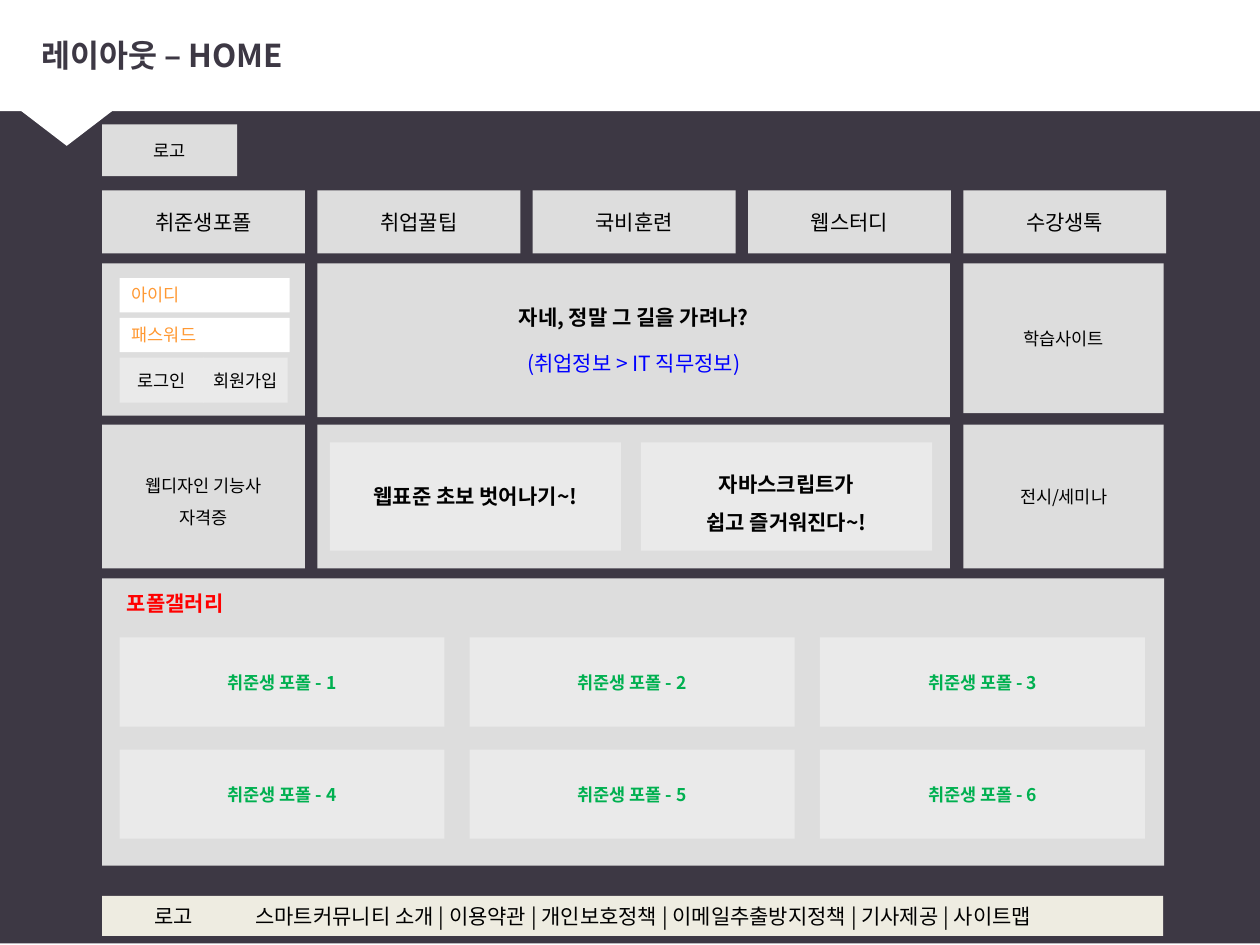
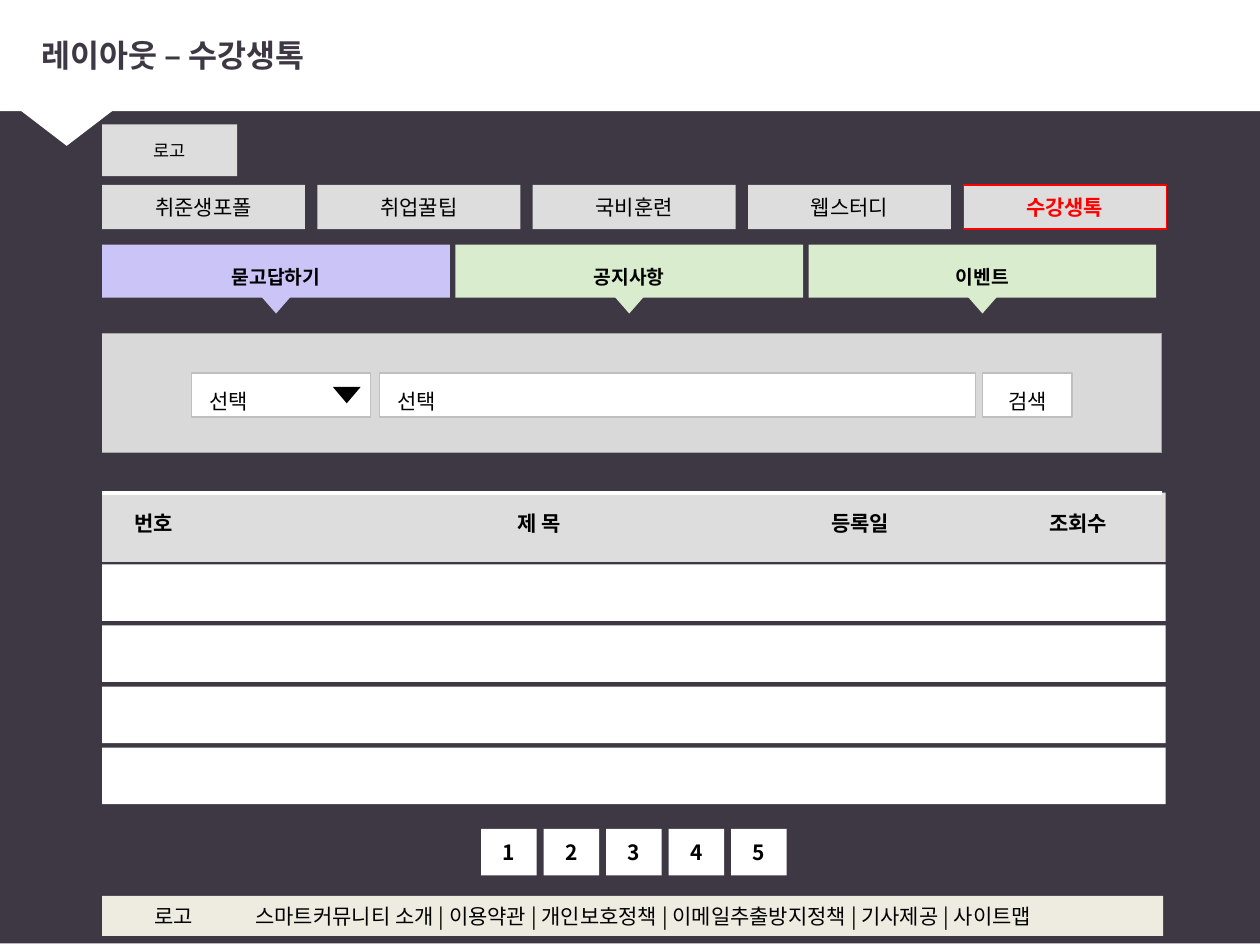
from pptx import Presentation
from pptx.dml.color import RGBColor
from pptx.enum.shapes import MSO_CONNECTOR as Connector, MSO_SHAPE as Preset
from pptx.enum.text import MSO_ANCHOR as Anchor, PP_ALIGN as Align
from pptx.oxml.ns import qn
from pptx.util import Cm, Pt
from lxml.etree import SubElement

FONT = "Noto Sans CJK KR"
COLORS = {
    "dark": "3D3844", "white": "FFFFFF", "black": "000000",
    "panel": "DDDDDD", "card": "EAEAEA", "search": "D9D9D9",
    "footer": "EEECE1", "field": "BFBFBF", "rule": "A6A6A6",
    "red": "FF0000", "blue": "0000FF", "green": "00B050", "orange": "FF9933",
    "violet": "CBC4F6", "mint": "D9ECCE",
}

# Page grid, in centimetres
LEFT = 2.06
COLUMN_STEP, COLUMN_WIDTH = 4.34, 4.09
SIDE_WIDTH = 4.04
MIDDLE, MIDDLE_WIDTH = LEFT + COLUMN_STEP, 12.75
RIGHT = LEFT + 4 * COLUMN_STEP

MENU = ["취준생포폴", "취업꿀팁", "국비훈련", "웹스터디", "수강생톡"]
FOOTER_LINKS = ["스마트커뮤니티 소개", "이용약관", "개인보호정책",
                "이메일추출방지정책", "기사제공", "사이트맵"]


def rgb(name):
    return RGBColor.from_string(COLORS[name])


# ---- Kinds of element ----

def write(shape, lines, size=12, color="black", bold=False, align=Align.CENTER,
          anchor=Anchor.MIDDLE, wrap=False, spacing=None):
    """Write one paragraph per line and return the paragraphs."""
    frame = shape.text_frame
    frame.word_wrap = wrap
    frame.vertical_anchor = anchor
    paras = []
    for index, line in enumerate(lines):
        para = frame.add_paragraph() if index else frame.paragraphs[0]
        para.alignment = align
        if spacing:
            para.line_spacing = spacing
        span = para.add_run()
        span.text = line
        font = span.font
        font.name, font.size, font.bold = FONT, Pt(size), bold
        font.color.rgb = rgb(color)
        SubElement(font._element, qn("a:ea"), typeface=FONT)
        paras.append(para)
    return paras


def add_box(page, left, top, width, height, fill="panel", line=None,
            preset=Preset.RECTANGLE):
    box = page.shapes.add_shape(preset, Cm(left), Cm(top), Cm(width), Cm(height))
    box.shadow.inherit = False
    box.fill.solid()
    box.fill.fore_color.rgb = rgb(fill)
    if line:
        box.line.color.rgb = rgb(line)
        box.line.width = Pt(0.75)
    else:
        box.line.fill.background()
    return box


def add_pointer(page, left, top, width, height, fill):
    pointer = add_box(page, left, top, width, height, fill,
                      preset=Preset.ISOSCELES_TRIANGLE)
    pointer.rotation = 180


def add_label(page, left, top, width, height, text, **style):
    label = page.shapes.add_textbox(Cm(left), Cm(top), Cm(width), Cm(height))
    write(label, [text], **style)


def add_rule(page, top, color, weight):
    rule = page.shapes.add_connector(Connector.STRAIGHT, Cm(LEFT), Cm(top),
                                     Cm(LEFT + 21.36), Cm(top))
    rule.line.color.rgb = rgb(color)
    rule.line.width = Pt(weight)
    SubElement(rule._element.spPr, qn("a:effectLst"))


def add_menu(page, top, height, active=None):
    for index, name in enumerate(MENU):
        chosen = name == active
        box = add_box(page, LEFT + index * COLUMN_STEP, top, COLUMN_WIDTH, height,
                      line="red" if chosen else None)
        write(box, [name], color="red" if chosen else "black", bold=chosen)


def add_page(deck, title):
    """Start a page with the band, title, logo place and footer all pages share."""
    page = deck.slides.add_slide(deck.slide_layouts[6])
    add_box(page, 0, -0.03, 25.76, 19.05, "dark")
    add_box(page, -0.08, -0.05, 25.83, 2.29, "white")
    add_pointer(page, -0.51, 1.52, 3.71, 1.42, "white")
    add_label(page, 0.58, 0.33, 24.54, 1.57, title, size=18, color="dark",
              bold=True, align=Align.LEFT, wrap=True)
    write(add_box(page, LEFT, 2.51, 2.72, 1.04), ["로고"], size=10)
    add_box(page, LEFT, 18.06, 21.39, 0.81, "footer")
    add_label(page, 2.51, 18.01, 1.98, 0.91, "로고")
    add_label(page, 4.9, 18.08, 18.08, 0.76, " | ".join(FOOTER_LINKS),
              align=Align.LEFT, anchor=Anchor.TOP)
    return page


# ---- Home page ----

def add_login(page):
    add_box(page, LEFT, 5.31, COLUMN_WIDTH, 3.07)
    for index, name in enumerate(["아이디", "패스워드"]):
        field = add_box(page, 2.41, 5.61 + index * 0.8, 3.43, 0.69, "white")
        write(field, [name], size=10, color="orange", align=Align.LEFT,
              anchor=Anchor.TOP, wrap=True)
    for index, name in enumerate(["로그인", "회원가입"]):
        button = add_box(page, 2.41 + index * 1.69, 7.21, 1.7, 0.91, "card")
        write(button, [name], size=10)


def add_gallery(page):
    add_box(page, LEFT, 11.66, 21.41, 5.79)
    heading = add_box(page, 2.31, 11.81, 1.8, 0.71)
    write(heading, ["포폴갤러리"], color="red", bold=True, align=Align.LEFT)
    for index in range(6):
        row, column = divmod(index, 3)
        card = add_box(page, 2.41 + column * 7.06, 12.85 + row * 2.26,
                       6.55, 1.8, "card")
        write(card, [f"취준생 포폴 - {index + 1}"], size=10, color="green", bold=True)


def build_home(deck):
    page = add_page(deck, "레이아웃 – HOME")
    add_menu(page, 3.84, 1.27)
    add_login(page)

    # Main message
    hero = add_box(page, MIDDLE, 5.31, MIDDLE_WIDTH, 3.1)
    question, topic = write(hero, ["자네, 정말 그 길을 가려나?",
                                   "(취업정보 > IT 직무정보)"], bold=True)
    topic.space_before = Pt(12)
    topic.runs[0].font.bold = False
    topic.runs[0].font.color.rgb = rgb("blue")

    # Side panels
    write(add_box(page, RIGHT, 5.31, SIDE_WIDTH, 3.02), ["학습사이트"], size=10)
    write(add_box(page, RIGHT, 8.56, SIDE_WIDTH, 2.9), ["전시/세미나"], size=10)
    write(add_box(page, LEFT, 8.56, COLUMN_WIDTH, 2.9),
          ["웹디자인 기능사", "자격증"], size=10, spacing=1.5)

    # Course cards
    add_box(page, MIDDLE, 8.56, MIDDLE_WIDTH, 2.9)
    courses = [(["웹표준 초보 벗어나기~!"], None),
               (["자바스크립트가", "쉽고 즐거워진다~!"], 1.5)]
    for index, (lines, spacing) in enumerate(courses):
        card = add_box(page, 6.65 + index * 6.27, 8.92, 5.87, 2.18, "card")
        write(card, lines, bold=True, spacing=spacing)

    add_gallery(page)


# ---- Student talk page ----

def add_tabs(page):
    tabs = [("묻고답하기", "violet"), ("공지사항", "mint"), ("이벤트", "mint")]
    for index, (name, fill) in enumerate(tabs):
        left = LEFT + index * 7.12
        add_pointer(page, left + 2.64, 5.33, 1.73, 0.99, fill)
        tab = add_box(page, left, 4.93, 7.01, 1.07, fill)
        write(tab, [name], size=11, bold=True, spacing=1.5)


def add_search(page):
    group = page.shapes.add_group_shape()
    add_box(group, LEFT, 6.73, 21.36, 2.39, "search")
    for top in (6.73, 9.12):
        add_rule(group, top, "rule", 0.75)
    fields = [(3.86, 3.61, "선택", Align.LEFT), (7.65, 12.01, "선택", Align.LEFT),
              (19.81, 1.8, "검색", Align.CENTER)]
    for left, width, name, align in fields:
        field = add_box(group, left, 7.52, width, 0.89, "white", line="field")
        write(field, [name], align=align, spacing=1.5)
        if align == Align.LEFT:
            field.text_frame.margin_left = Cm(0.36)
    add_pointer(group, 6.71, 7.8, 0.56, 0.33, "black")


def add_board(page):
    width = 21.44
    add_box(page, LEFT, 9.93, width, 1.4)
    add_rule(page, 9.93, "white", 2.25)
    headings = [(2.46, 1.37, "번호"), (10.19, 1.52, "제 목"),
                (16.51, 1.8, "등록일"), (20.9, 1.8, "조회수")]
    for left, label_width, name in headings:
        add_label(page, left, 10.16, label_width, 0.76, name, bold=True,
                  align=Align.LEFT, anchor=Anchor.TOP)
    for row in range(4):
        add_box(page, LEFT, 11.38 + row * 1.23, width, 1.14, "white")


def add_pager(page):
    group = page.shapes.add_group_shape()
    for index in range(5):
        button = add_box(group, 9.7 + index * 1.26, 16.71, 1.12, 0.94, "white")
        write(button, [str(index + 1)], bold=True)


def build_talk(deck):
    page = add_page(deck, "레이아웃 – 수강생톡")
    add_menu(page, 3.73, 0.89, active="수강생톡")
    add_tabs(page)
    add_search(page)
    add_board(page)
    add_pager(page)


def main():
    deck = Presentation()
    deck.slide_width, deck.slide_height = Cm(25.4), Cm(19.05)
    build_home(deck)
    build_talk(deck)
    deck.save("out.pptx")


if __name__ == "__main__":
    main()
